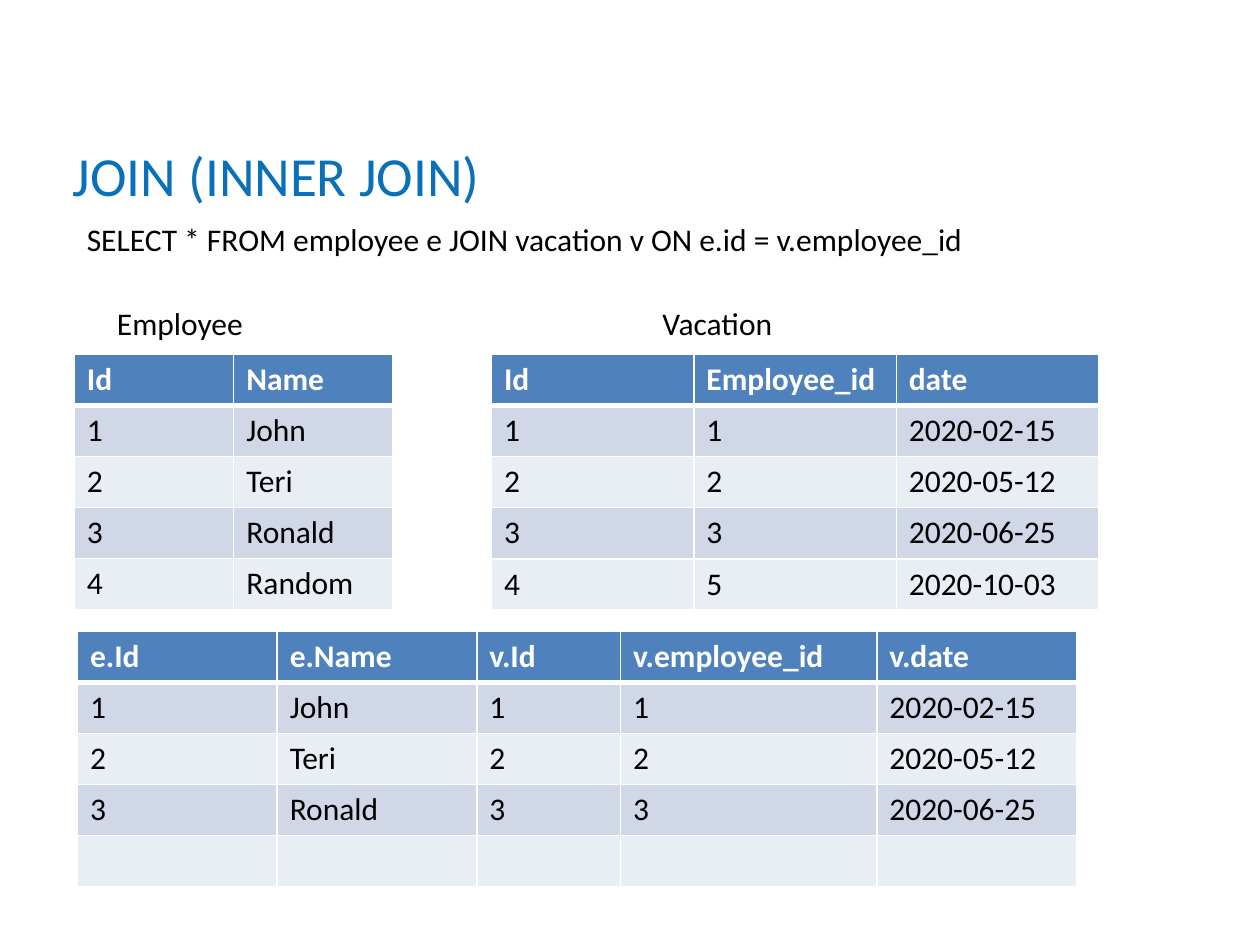
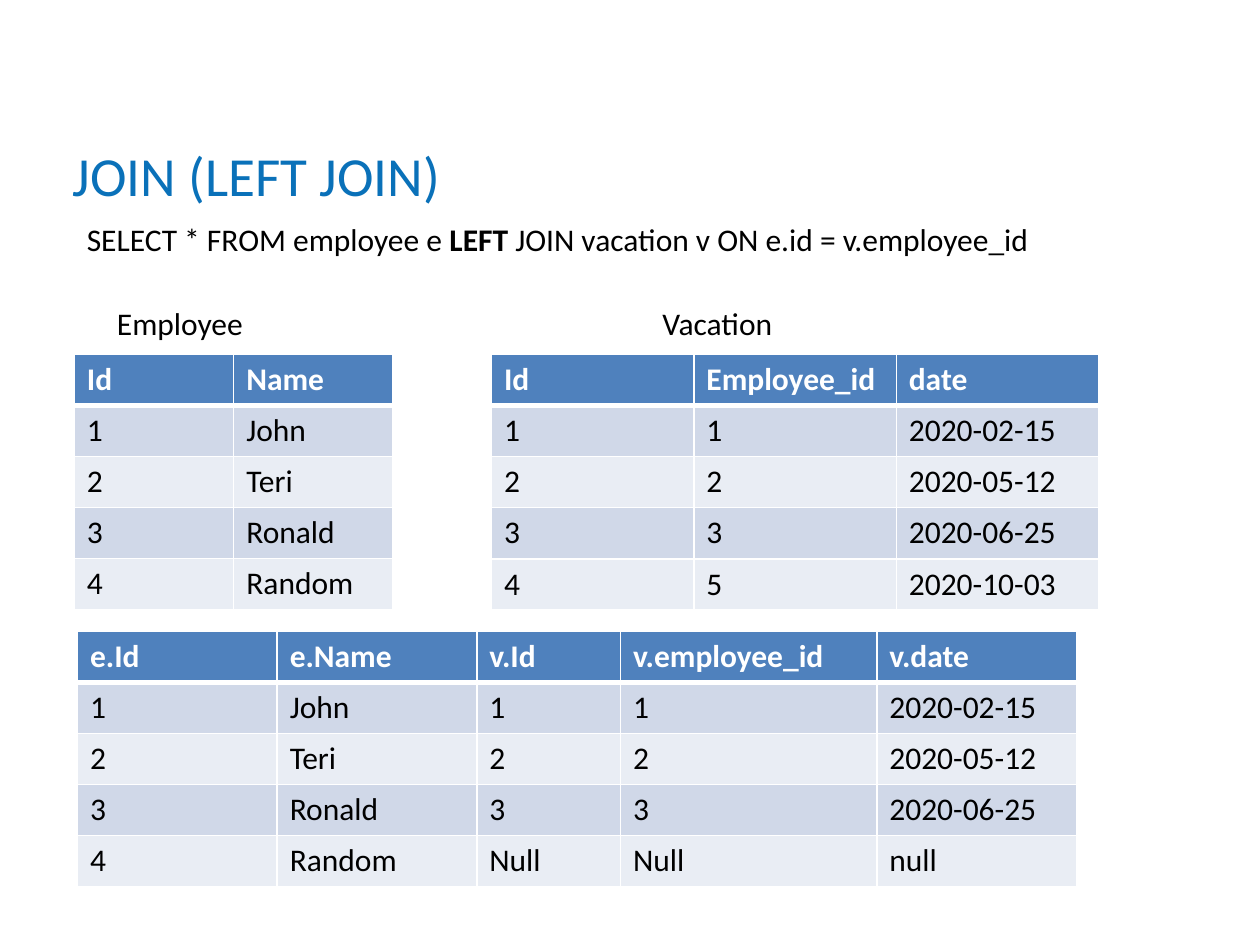
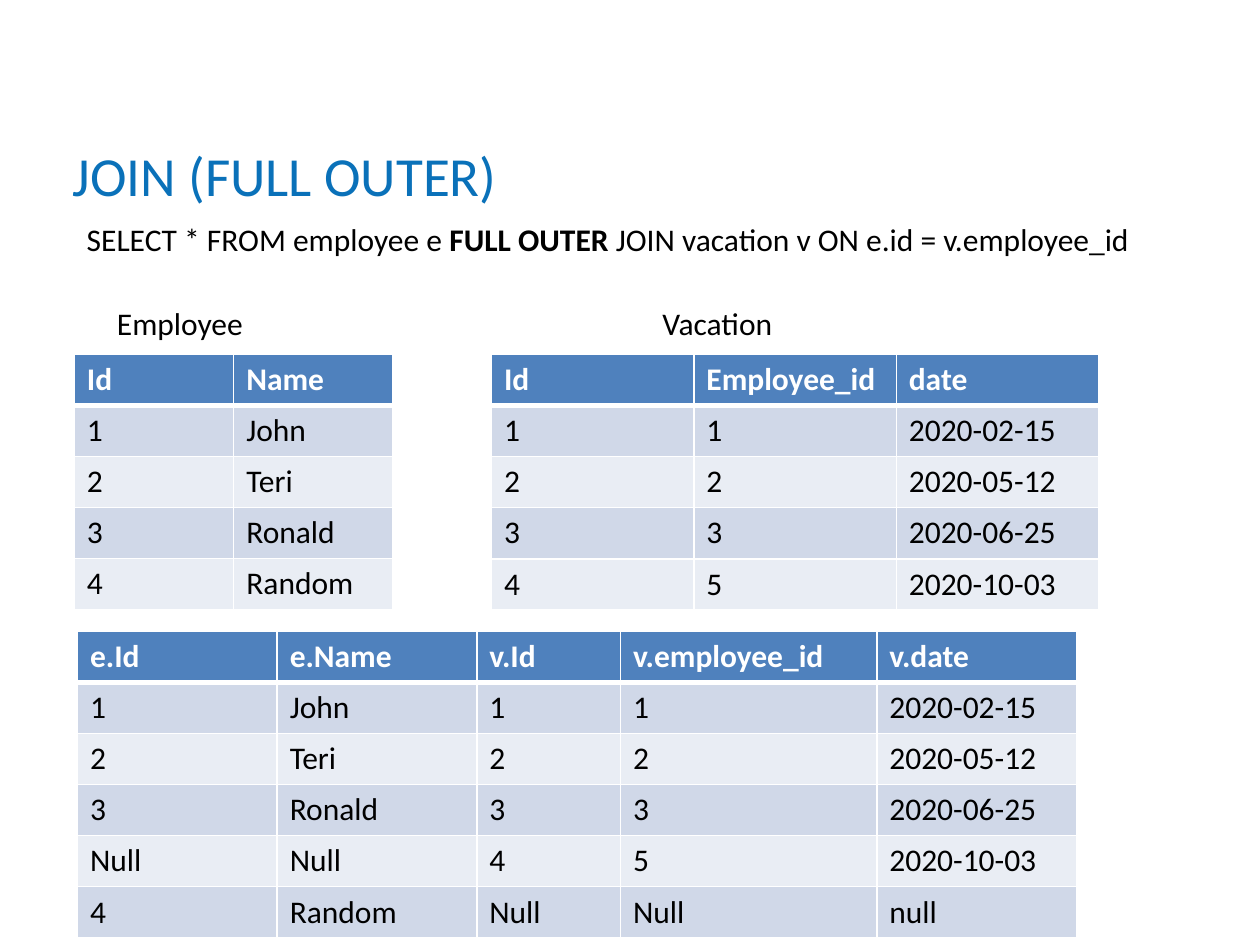
from dataclasses import dataclass

from lxml import etree
from pptx import Presentation
from pptx.dml.color import RGBColor
from pptx.enum.text import MSO_ANCHOR
from pptx.oxml.ns import qn
from pptx.util import Inches, Pt

BOTTOM, TOP = MSO_ANCHOR.BOTTOM, MSO_ANCHOR.TOP


@dataclass(frozen=True)
class Theme:
    font: str = "Calibri"
    title: str = "0A71B9"
    text: str = "000000"
    header: str = "4F81BD"
    bands: tuple = ("D0D8E8", "E9EDF4")
    white: str = "FFFFFF"
    title_size: float = 31.5
    body_size: float = 18
    line: int = 1
    header_line: int = 3


theme = Theme()
presentation = Presentation()
presentation.slide_width = Inches(10)
presentation.slide_height = Inches(7.5)
COLUMN = presentation.slide_width / 100
ROW = presentation.slide_height / 100
TABLE_ROW = Pt(29.2)


def add_text(slide, left, top, width, height, parts, size=theme.body_size,
             color=theme.text, anchor=TOP):
    """Add a one-line text box; every second part is bold."""
    box = slide.shapes.add_textbox(int(left * COLUMN), int(top * ROW),
                                   int(width * COLUMN), int(height * ROW))
    frame = box.text_frame
    frame.word_wrap = True
    frame.vertical_anchor = anchor
    paragraph = frame.paragraphs[0]
    for index, part in enumerate(parts):
        run = paragraph.add_run()
        run.text = part
        if index % 2:
            run.font.bold = True
    paragraph.font.name = theme.font
    paragraph.font.size = Pt(size)
    paragraph.font.color.rgb = RGBColor.from_string(color)


def add_data_table(slide, left, top, widths, rows):
    """Add a banded table with white rules; the first row is the header."""
    table = slide.shapes.add_table(
        len(rows), len(widths), int(left * COLUMN), int(top * ROW),
        int(sum(widths) * COLUMN), TABLE_ROW * len(rows)).table
    for column, width in zip(table.columns, widths):
        column.width = int(width * COLUMN)
    for row_index, values in enumerate(rows):
        is_header = row_index == 0
        table.rows[row_index].height = TABLE_ROW
        fill = theme.header if is_header else theme.bands[(row_index - 1) % 2]
        line_widths = {
            "a:lnL": theme.line,
            "a:lnR": theme.line,
            "a:lnT": theme.header_line if row_index == 1 else theme.line,
            "a:lnB": theme.header_line if is_header else theme.line,
        }
        for cell, value in zip(table.rows[row_index].cells, values):
            cell.text = value
            paragraph = cell.text_frame.paragraphs[0]
            paragraph.font.name = theme.font
            paragraph.font.size = Pt(theme.body_size)
            paragraph.font.bold = is_header
            paragraph.font.color.rgb = RGBColor.from_string(
                theme.white if is_header else theme.text)
            properties = cell._tc.get_or_add_tcPr()
            for tag, line_width in line_widths.items():
                line = etree.SubElement(properties, qn(tag), w=str(Pt(line_width)))
                solid = etree.SubElement(line, qn("a:solidFill"))
                etree.SubElement(solid, qn("a:srgbClr"), val=theme.white)
            cell.fill.solid()
            cell.fill.fore_color.rgb = RGBColor.from_string(fill)


employees = [("1", "John"), ("2", "Teri"), ("3", "Ronald"), ("4", "Random")]
vacations = [("1", "1", "2020-02-15"), ("2", "2", "2020-05-12"),
             ("3", "3", "2020-06-25"), ("4", "5", "2020-10-03")]
matches = [employee + vacation for employee in employees for vacation in vacations
           if employee[0] == vacation[1]]
employee_only = employees[-1] + ("Null", "Null", "null")
vacation_only = ("Null", "Null") + vacations[-1]

QUERY_START = "SELECT * FROM employee e "
QUERY_END = "JOIN vacation v ON e.id = v.employee_id"

# Title, query parts, query width, rows after the matches
joins = [
    ("JOIN (INNER JOIN)", [QUERY_START + QUERY_END], 79.5, [("",) * 5]),
    ("JOIN (LEFT JOIN)", [QUERY_START, "LEFT", " " + QUERY_END], 79.5,
     [employee_only]),
    ("JOIN (FULL OUTER)", [QUERY_START, "FULL OUTER", " " + QUERY_END], 87.4,
     [vacation_only, employee_only]),
]

for title, query, query_width, unmatched in joins:
    slide = presentation.slides.add_slide(presentation.slide_layouts[6])
    add_text(slide, 4.8, 14.8, 90, 7.87, [title], theme.title_size, theme.title, BOTTOM)
    add_data_table(slide, 5.9, 37.47, [12.65] * 2, [("Id", "Name")] + employees)
    add_data_table(slide, 39, 37.5, [16.07] * 3,
                   [("Id", "Employee_id", "date")] + vacations)
    for left, label in ((8.3, "Employee"), (51.6, "Vacation")):
        add_text(slide, left, 31.47, 27.6, 5.33, [label])
    add_data_table(slide, 6.15, 66.8, [15.85, 15.85, 11.4, 20.35, 15.85],
                   [("e.Id", "e.Name", "v.Id", "v.employee_id", "v.date")]
                   + matches + unmatched)
    add_text(slide, 5.9, 22.67, query_width, 5.33, query)

presentation.save("out.pptx")
